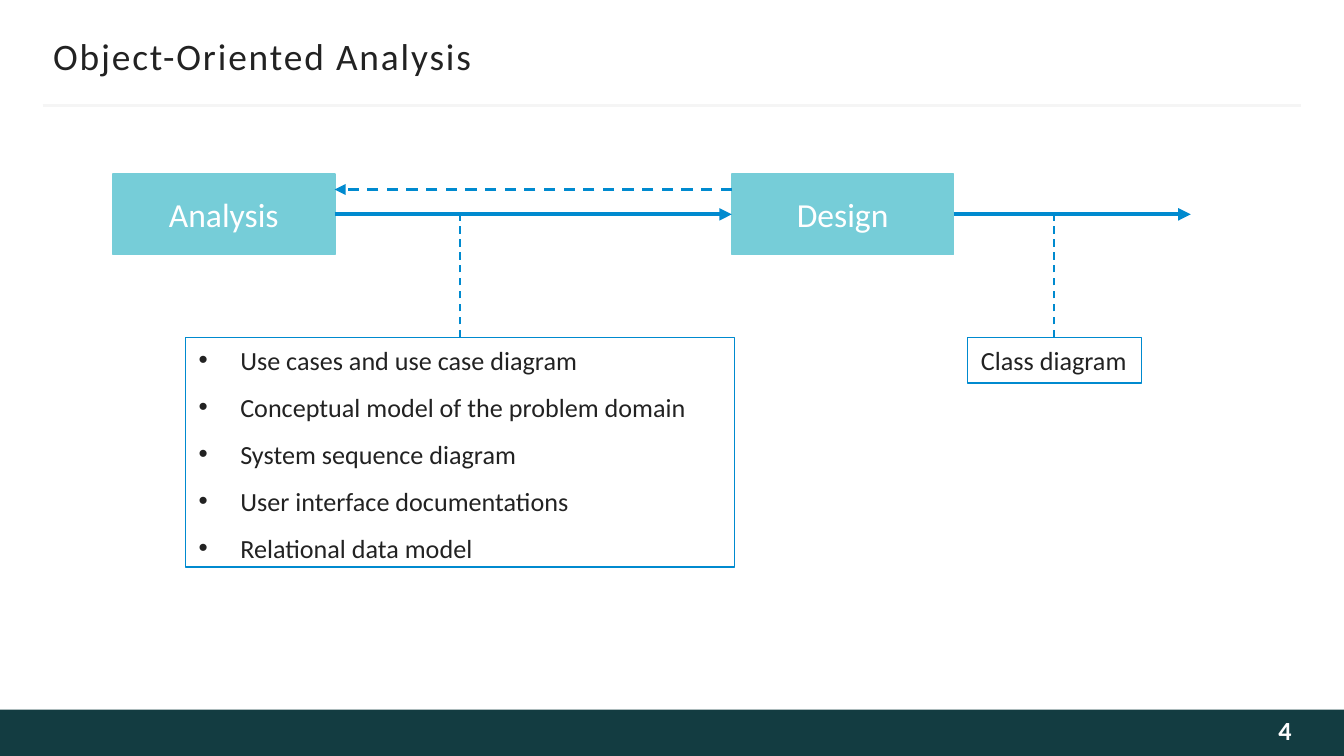
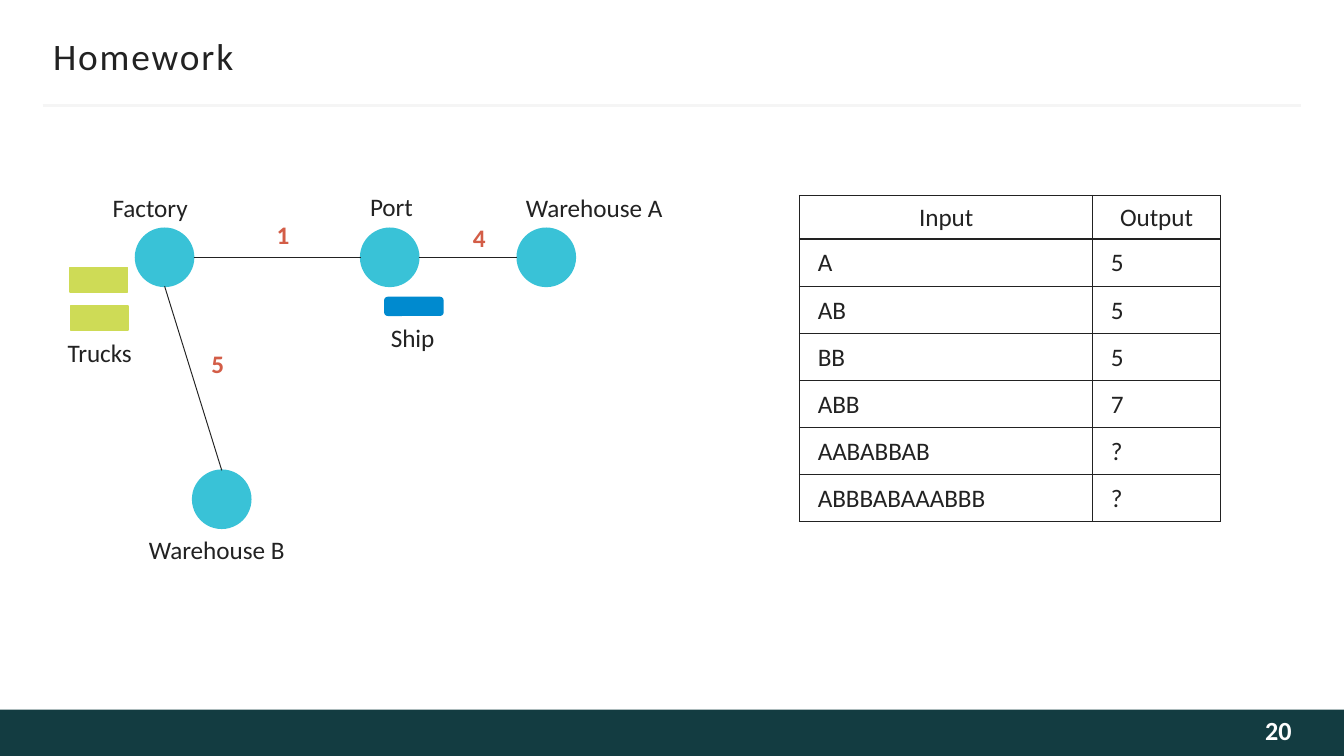
"""Build two course slides: an analysis-to-design flow and a transport homework."""
from dataclasses import dataclass
from typing import NamedTuple

from lxml import etree
from pptx import Presentation, util as u
from pptx.dml.color import RGBColor
from pptx.enum import dml, shapes, text
from pptx.oxml import ns

PX = u.Inches(1) // 200
WIDTH, HEIGHT = 2000, 1125


@dataclass(frozen=True)
class Theme:
    """Colours, font and type sizes shared by the deck."""
    font: str = "Calibri"
    paper: str = "FFFFFF"
    ink: str = "222222"
    band: str = "133C41"
    rule: str = "F5F5F5"
    number: str = "FEFEFE"
    phase: str = "76CDD8"
    accent: str = "008ACF"
    place: str = "39C2D7"
    truck: str = "CEDB56"
    cost: str = "D35D47"
    title_size: float = 20
    phase_size: float = 18
    body_size: float = 14
    label_size: float = 13.5


THEME = Theme()


class Area(NamedTuple):
    """A rectangle in px."""
    left: int
    top: int
    width: int
    height: int

    @property
    def right(self) -> int:
        """Return the right edge."""
        return self.left + self.width

    @property
    def bottom(self) -> int:
        """Return the bottom edge."""
        return self.top + self.height

    @property
    def center(self) -> int:
        """Return the horizontal middle."""
        return self.left + self.width // 2

    @property
    def middle(self) -> int:
        """Return the vertical middle."""
        return self.top + self.height // 2

    def emu(self) -> list[int]:
        """Return the four lengths in EMU."""
        return [length * PX for length in self]


@dataclass(frozen=True)
class Style:
    """How a piece of text looks."""
    size: float = THEME.label_size
    color: str = THEME.ink
    bold: bool = False
    align: text.PP_ALIGN = text.PP_ALIGN.LEFT
    spacing: int = 0


@dataclass(frozen=True)
class Block:
    """A preset shape with an optional fill and outline."""
    area: Area
    fill: str | None = None
    line: str | None = None
    weight: float = 1
    kind: shapes.MSO_SHAPE = shapes.MSO_SHAPE.RECTANGLE


@dataclass(frozen=True)
class Link:
    """A straight line between two points in px."""
    start: tuple[int, int]
    end: tuple[int, int]
    color: str = THEME.accent
    weight: float = 1
    dashed: bool = False
    arrow: bool = False


class Label(NamedTuple):
    """A short caption and the place of its box."""
    words: str
    area: Area
    style: Style = Style()


TITLE = Style(THEME.title_size, spacing=100)
NUMBER = Style(THEME.body_size, THEME.number, True, text.PP_ALIGN.RIGHT)
PHASE = Style(THEME.phase_size, THEME.paper, align=text.PP_ALIGN.CENTER)
BODY = Style(THEME.body_size)
COST = Style(color=THEME.cost, bold=True)
HEADER = Style(align=text.PP_ALIGN.CENTER)

OUTPUTS = [
    "Use cases and use case diagram",
    "Conceptual model of the problem domain",
    "System sequence diagram",
    "User interface documentations",
    "Relational data model",
]
CASES = [
    ("Input", "Output"), ("A", "5"), ("AB", "5"), ("BB", "5"),
    ("ABB", "7"), ("AABABBAB", "?"), ("ABBBABAAABBB", "?"),
]


def write(frame, words: str, style: Style) -> None:
    """Put words into a text frame and format every run."""
    frame.text = words
    for para in frame.paragraphs:
        para.alignment = style.align
        for span in para.runs:
            span.font.name = THEME.font
            span.font.size = u.Pt(style.size)
            span.font.bold = style.bold
            span.font.color.rgb = RGBColor.from_string(style.color)
            if style.spacing:
                span._r.get_or_add_rPr().set("spc", str(style.spacing))


def set_margins(target, left: int, top: int, right: int, bottom: int) -> None:
    """Set the insets of a text frame or table cell in px."""
    target.margin_left, target.margin_top = left * PX, top * PX
    target.margin_right, target.margin_bottom = right * PX, bottom * PX


def draw_block(page, block: Block):
    """Draw a preset shape."""
    box = page.shapes.add_shape(block.kind, *block.area.emu())
    box.shadow.inherit = False
    if block.fill:
        box.fill.solid()
        box.fill.fore_color.rgb = RGBColor.from_string(block.fill)
    else:
        box.fill.background()
    if block.line:
        box.line.color.rgb = RGBColor.from_string(block.line)
        box.line.width = u.Pt(block.weight)
    else:
        box.line.fill.background()
    return box


def draw_link(page, link: Link) -> None:
    """Draw a line, dashed or arrowed when asked."""
    points = [length * PX for length in (*link.start, *link.end)]
    wire = page.shapes.add_connector(shapes.MSO_CONNECTOR.STRAIGHT, *points)
    wire.line.color.rgb = RGBColor.from_string(link.color)
    wire.line.width = u.Pt(link.weight)
    if link.dashed:
        wire.line.dash_style = dml.MSO_LINE.DASH
    if link.arrow:
        tail = etree.SubElement(wire.line._get_or_add_ln(), ns.qn("a:tailEnd"))
        tail.set("type", "triangle")
    etree.SubElement(wire._element.spPr, ns.qn("a:effectLst"))


def draw_label(page, label: Label) -> None:
    """Draw a caption that grows with its words."""
    frame = page.shapes.add_textbox(*label.area.emu()).text_frame
    write(frame, label.words, label.style)
    frame.word_wrap = False
    frame.auto_size = text.MSO_AUTO_SIZE.SHAPE_TO_FIT_TEXT


def draw_line_of_text(page, label: Label, margins: tuple[int, int, int, int]) -> None:
    """Draw a vertically centred line in a fixed box."""
    frame = page.shapes.add_textbox(*label.area.emu()).text_frame
    write(frame, label.words, label.style)
    frame.word_wrap = True
    frame.vertical_anchor = text.MSO_ANCHOR.MIDDLE
    set_margins(frame, *margins)


def draw_note(page, area: Area, words: str, wrap: bool):
    """Draw an outlined note and return its text frame."""
    frame = draw_block(page, Block(area, line=THEME.accent, weight=0.75)).text_frame
    write(frame, words, BODY)
    frame.vertical_anchor = text.MSO_ANCHOR.TOP
    frame.word_wrap = wrap
    frame.auto_size = text.MSO_AUTO_SIZE.SHAPE_TO_FIT_TEXT
    return frame


def add_bullets(frame, indent: int) -> None:
    """Give each paragraph a hanging bullet and open up the lines."""
    for index, para in enumerate(frame.paragraphs):
        if index:
            para.line_spacing = 1.5
        props = para._p.get_or_add_pPr()
        props.set("marL", str(indent * PX))
        props.set("indent", str(-indent * PX))
        etree.SubElement(props, ns.qn("a:buFont")).set("typeface", "Arial")
        etree.SubElement(props, ns.qn("a:buChar")).set("char", "•")


def add_borders(cell, color: str, weight: float) -> None:
    """Outline a table cell on all sides."""
    props = cell._tc.get_or_add_tcPr()
    for side in ("lnL", "lnR", "lnT", "lnB"):
        line = etree.SubElement(props, ns.qn(f"a:{side}"), w=str(u.Pt(weight)))
        fill = etree.SubElement(line, ns.qn("a:solidFill"))
        etree.SubElement(fill, ns.qn("a:srgbClr"), val=color)


def draw_cases(page) -> None:
    """Draw the table of inputs and outputs."""
    widths, row_height = (436, 190), 58
    area = Area(1190, 291, sum(widths), row_height * len(CASES))
    table = page.shapes.add_table(len(CASES), len(widths), *area.emu()).table
    table.first_row = table.horz_banding = False
    for column, width in zip(table.columns, widths):
        column.width = width * PX
    for index, values in enumerate(CASES):
        table.rows[index].height = row_height * PX
        for cell, value in zip(table.rows[index].cells, values):
            write(cell.text_frame, value, Style() if index else HEADER)
            if index:
                set_margins(cell, 27, 13, 27, 12)
                cell.vertical_anchor = text.MSO_ANCHOR.MIDDLE
            add_borders(cell, THEME.ink, 1)
            cell.fill.background()


def add_page(deck, title: str, number: int):
    """Add a slide with its band, rule, title and number."""
    page = deck.slides.add_slide(deck.slide_layouts[6])
    page.background.fill.solid()
    page.background.fill.fore_color.rgb = RGBColor.from_string(THEME.paper)
    band = Area(0, 1056, WIDTH, HEIGHT - 1056)
    draw_block(page, Block(band, THEME.band))
    draw_link(page, Link((64, 157), (1936, 157), THEME.rule, 1.5))
    draw_line_of_text(page, Label(title, Area(79, 50, 1843, 66), TITLE), (0, 10, 0, 10))
    corner = Area(1622, band.top, 300, band.height)
    draw_line_of_text(page, Label(str(number), corner, NUMBER), (20, 10, 0, 18))
    return page


def build_analysis(deck) -> None:
    """Build the flow from analysis to design."""
    page = add_page(deck, "Object-Oriented Analysis", 4)
    analysis, design = Area(168, 259, 330, 120), Area(1089, 259, 330, 120)
    outputs, diagram = Area(276, 502, 817, 342), Area(1440, 502, 259, 68)
    for words, area in (("Analysis", analysis), ("Design", design)):
        frame = draw_block(page, Block(area, THEME.phase, THEME.phase)).text_frame
        write(frame, words, PHASE)
        frame.vertical_anchor = text.MSO_ANCHOR.MIDDLE
    flow, feedback = analysis.middle, analysis.top + 23
    for link in (
        Link((analysis.right, flow), (design.left, flow), weight=2.25, arrow=True),
        Link((design.right, flow), (1772, flow), weight=2.25, arrow=True),
    ):
        draw_link(page, link)
    add_bullets(draw_note(page, outputs, "\n".join(OUTPUTS), True), 62)
    draw_note(page, diagram, "Class diagram", False)
    for link in (
        Link((684, outputs.top), (684, flow), dashed=True),
        Link((1568, diagram.top), (1568, flow), dashed=True),
        Link((design.left, feedback), (analysis.right, feedback),
             weight=1.5, dashed=True, arrow=True),
    ):
        draw_link(page, link)


def build_homework(deck) -> None:
    """Build the transport map and its table of cases."""
    page = add_page(deck, "Homework", 20)
    places = [Area(left, top, 86, 86)
              for left, top in ((202, 340), (537, 340), (770, 340), (287, 700))]
    factory, port, warehouse_a, warehouse_b = places
    for area in places:
        draw_block(page, Block(area, THEME.place, THEME.place, kind=shapes.MSO_SHAPE.OVAL))
    for start, end in (
        ((factory.right, factory.middle), (port.left, port.middle)),
        ((factory.center, factory.bottom), (warehouse_b.center, warehouse_b.top)),
        ((port.right, port.middle), (warehouse_a.left, warehouse_a.middle)),
    ):
        draw_link(page, Link(start, end, THEME.ink, 0.5))
    for cost, left, top in (("1", 392, 317), ("5", 295, 509), ("4", 684, 321)):
        draw_label(page, Label(cost, Area(left, top, 60, 66), COST))
    for left, top in ((104, 398), (105, 455)):
        draw_block(page, Block(Area(left, top, 86, 36), THEME.truck, THEME.truck))
    draw_block(page, Block(Area(573, 443, 86, 26), THEME.accent, THEME.accent,
                           kind=shapes.MSO_SHAPE.ROUNDED_RECTANGLE))
    for words, left, top, width in (
        ("Factory", 148, 276, 154), ("Port", 531, 275, 106),
        ("Warehouse B", 202, 785, 246), ("Warehouse A", 763, 276, 246),
        ("Trucks", 81, 492, 138), ("Ship", 562, 470, 106),
    ):
        draw_label(page, Label(words, Area(left, top, width, 66)))
    draw_cases(page)


def main() -> None:
    """Build and save the deck."""
    deck = Presentation()
    deck.slide_width, deck.slide_height = WIDTH * PX, HEIGHT * PX
    build_analysis(deck)
    build_homework(deck)
    deck.save("out.pptx")


if __name__ == "__main__":
    main()
